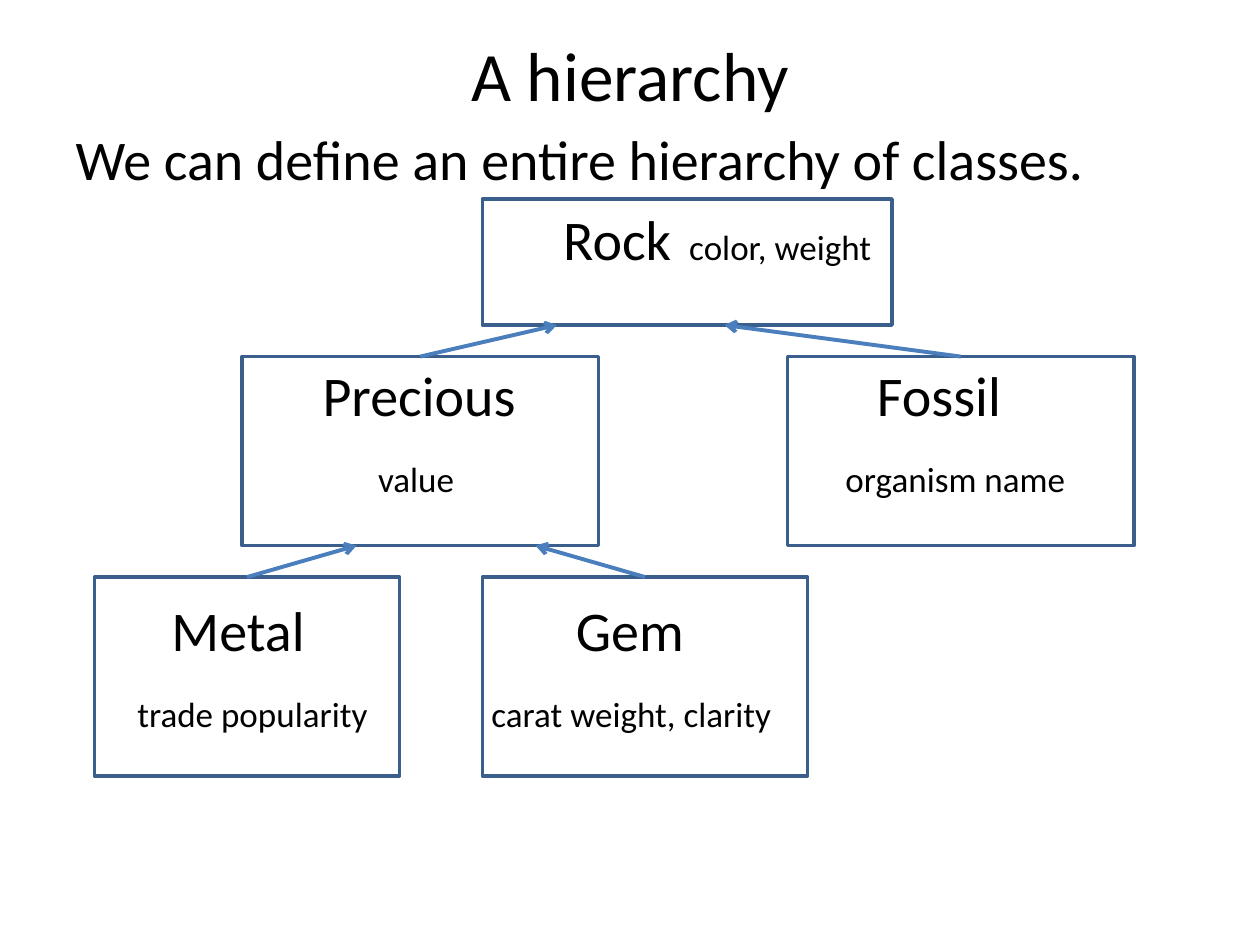
from lxml import etree
from pptx import Presentation
from pptx.dml.color import RGBColor
from pptx.enum import shapes, text
from pptx.oxml import ns
from pptx.util import Inches, Pt

COLORS = {"text": "000000", "border": "3A5F8C", "arrow": "4B7EBC"}
FONT = "Calibri"
NAME_SIZE, FIELD_SIZE = 32, 20

# Class: left, top, width, height, top inset, name indent, fields, fields indent
CLASSES = {
    "Rock": (3.83, 1.58, 3.25, 1, 0.04, 0.64, "color, weight", 1.72),
    "Precious": (1.92, 2.83, 2.83, 1.5, 0.03, 0.64, "value", 1.08),
    "Fossil": (6.25, 2.83, 2.75, 1.5, 0.03, 0.71, "organism name", 0.46),
    "Metal": (0.75, 4.58, 2.42, 1.58, 0.15, 0.61, "trade popularity", 0.34),
    "Gem": (3.83, 4.58, 2.58, 1.58, 0.15, 0.74, "carat weight, clarity", 0.07),
}

# Subclass and the point on its parent's lower edge
ARROWS = [
    ("Precious", 4.42, 2.58),
    ("Fossil", 5.75, 2.58),
    ("Metal", 2.83, 4.33),
    ("Gem", 4.25, 4.33),
]


def color(name):
    return RGBColor.from_string(COLORS[name])


def add_run(paragraph, words, size):
    run = paragraph.add_run()
    run.text = words
    run.font.name = FONT
    run.font.size = Pt(size)
    run.font.color.rgb = color("text")


def prepare_frame(shape, left=0, top=0):
    frame = shape.text_frame
    frame.word_wrap = True
    frame.vertical_anchor = text.MSO_ANCHOR.TOP
    frame.margin_left, frame.margin_top = Inches(left), Inches(top)
    frame.margin_right = frame.margin_bottom = 0
    return frame


def add_heading(slide, words, left, top, width, height, size, alignment):
    box = slide.shapes.add_textbox(
        Inches(left), Inches(top), Inches(width), Inches(height))
    paragraph = prepare_frame(box).paragraphs[0]
    paragraph.alignment = alignment
    add_run(paragraph, words, size)


def indent(paragraph, distance):
    properties = paragraph._p.get_or_add_pPr()
    properties.set("marL", str(Inches(distance)))
    properties.set("indent", "0")


def add_tab_stop(paragraph, distance):
    properties = paragraph._p.get_or_add_pPr()
    tabs = etree.SubElement(properties, ns.qn("a:tabLst"))
    etree.SubElement(tabs, ns.qn("a:tab"), pos=str(Inches(distance)), algn="l")


def add_class(slide, name, fields_beside_name=False):
    left, top, width, height, inset, name_at, fields, fields_at = CLASSES[name]
    box = slide.shapes.add_shape(
        shapes.MSO_SHAPE.RECTANGLE,
        Inches(left), Inches(top), Inches(width), Inches(height))
    box.shadow.inherit = False
    box.fill.background()
    box.line.color.rgb = color("border")
    box.line.width = Pt(2)

    margin = min(name_at, fields_at)
    frame = prepare_frame(box, margin, inset)
    paragraph = frame.paragraphs[0]
    paragraph.alignment = text.PP_ALIGN.LEFT
    indent(paragraph, name_at - margin)
    if fields_beside_name:
        add_tab_stop(paragraph, fields_at - margin)
        add_run(paragraph, name + "\t", NAME_SIZE)
    else:
        add_run(paragraph, name, NAME_SIZE)
        paragraph = frame.add_paragraph()
        paragraph.alignment = text.PP_ALIGN.LEFT
        paragraph.space_before = Pt(17)
        indent(paragraph, fields_at - margin)
    add_run(paragraph, fields, FIELD_SIZE)
    return box


def add_arrow(slide, subclass, end_x, end_y):
    arrow = slide.shapes.add_connector(
        shapes.MSO_CONNECTOR.STRAIGHT, 0, 0, Inches(end_x), Inches(end_y))
    arrow.begin_connect(subclass, 0)
    arrow.line.color.rgb = color("arrow")
    arrow.line.width = Pt(2.25)
    etree.SubElement(arrow.line._get_or_add_ln(), ns.qn("a:tailEnd"), type="arrow")
    etree.SubElement(arrow._element.spPr, ns.qn("a:effectLst"))


def main():
    presentation = Presentation()
    presentation.slide_width, presentation.slide_height = Inches(10), Inches(7.5)
    slide = presentation.slides.add_slide(presentation.slide_layouts[6])

    # Title and introduction
    add_heading(slide, "A hierarchy", 0.5, 0.26, 9, 0.67, 39.6,
                text.PP_ALIGN.CENTER)
    add_heading(slide, "We can define an entire hierarchy of classes.",
                0.6, 0.99, 8.8, 0.55, NAME_SIZE, text.PP_ALIGN.LEFT)

    # Class boxes
    boxes = {name: add_class(slide, name, name == "Rock") for name in CLASSES}

    # Inheritance arrows
    for name, end_x, end_y in ARROWS:
        add_arrow(slide, boxes[name], end_x, end_y)

    presentation.save("out.pptx")


if __name__ == "__main__":
    main()
